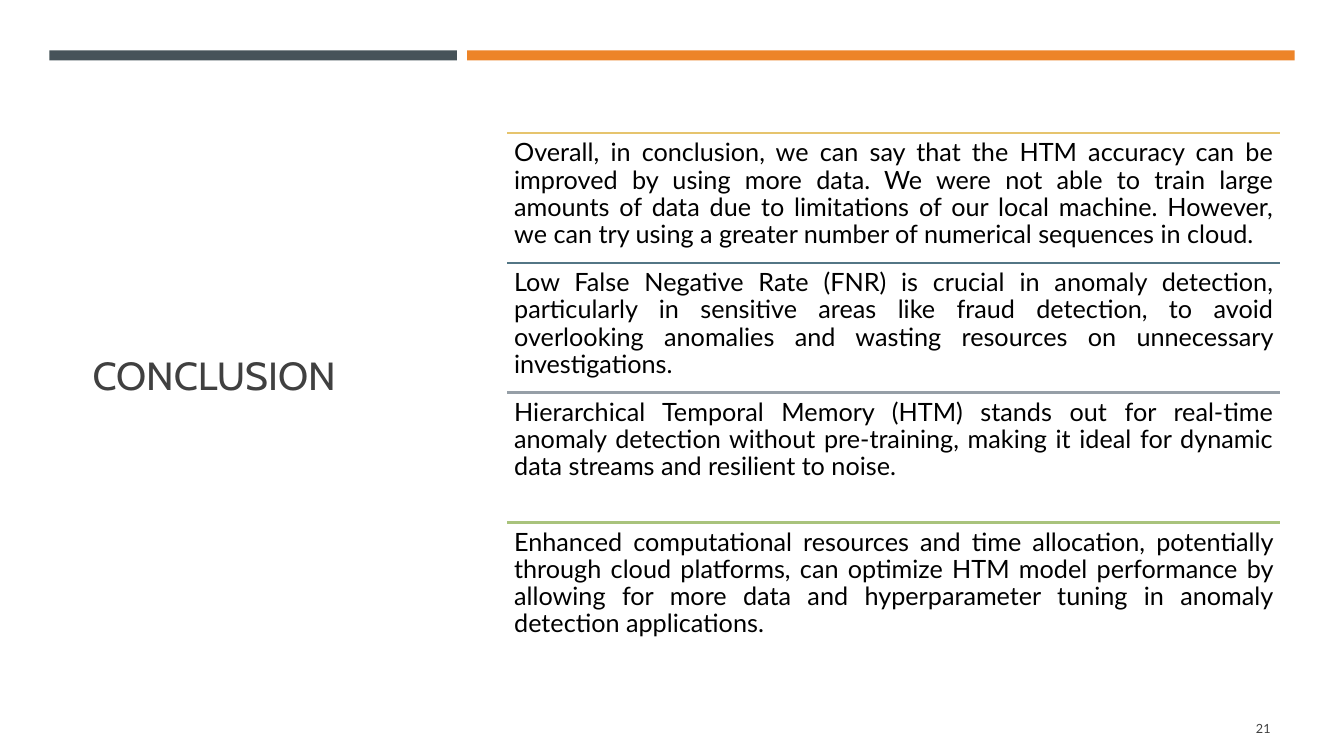
from dataclasses import dataclass

from lxml import etree
from pptx import Presentation
from pptx.dml.color import RGBColor
from pptx.enum.shapes import MSO_CONNECTOR, MSO_SHAPE
from pptx.enum.text import MSO_ANCHOR, PP_ALIGN
from pptx.oxml.ns import qn
from pptx.util import Inches, Pt

RECT = MSO_SHAPE.RECTANGLE
STRAIGHT = MSO_CONNECTOR.STRAIGHT
TOP, MIDDLE = MSO_ANCHOR.TOP, MSO_ANCHOR.MIDDLE
LEFT, RIGHT, JUSTIFY = PP_ALIGN.LEFT, PP_ALIGN.RIGHT, PP_ALIGN.JUSTIFY
WIDE, HIGH = 13.33, 7.5


@dataclass(frozen=True)
class Theme:
    back: str = "FFFFFF"
    slate: str = "465359"
    orange: str = "ED8428"
    ink: str = "404040"
    body: str = "000000"
    rules: tuple = ("E6C46D", "537685", "969FA7", "A9C37C")
    head_font: str = "Cabin"
    body_font: str = "Lato"
    head_size: float = 28
    body_size: float = 18
    page_size: float = 9
    rule_width: float = 1.75


THEME = Theme()
POINTS = (
    "Overall, in conclusion, we can say that the HTM accuracy can be improved "
    "by using more data. We were not able to train large amounts of data due to "
    "limitations of our local machine. However, we can try using a greater "
    "number of numerical sequences in cloud.",
    "Low False Negative Rate (FNR) is crucial in anomaly detection, particularly "
    "in sensitive areas like fraud detection, to avoid overlooking anomalies and "
    "wasting resources on unnecessary investigations.",
    "Hierarchical Temporal Memory (HTM) stands out for real-time anomaly "
    "detection without pre-training, making it ideal for dynamic data streams "
    "and resilient to noise.",
    "Enhanced computational resources and time allocation, potentially through "
    "cloud platforms, can optimize HTM model performance by allowing for more "
    "data and hyperparameter tuning in anomaly detection applications.",
)


def color(code):
    return RGBColor.from_string(code)


def add_text(slide, box, words, font, size, ink, align=LEFT, anchor=MIDDLE,
             inset=None):
    frame = slide.shapes.add_textbox(*map(Inches, box)).text_frame
    frame.word_wrap = True
    frame.vertical_anchor = anchor
    if inset is not None:
        frame.margin_left = frame.margin_right = Inches(inset)
        frame.margin_top = frame.margin_bottom = Inches(inset)
    para = frame.paragraphs[0]
    para.alignment = align
    run = para.add_run()
    run.text = words
    run.font.name = font
    run.font.size = Pt(size)
    run.font.color.rgb = color(ink)
    return para


def add_bars(slide, box):
    left, top, width, height = box
    gap = 0.1
    first = (width - gap) * 0.33
    second = width - gap - first
    parts = ((left, first, THEME.slate),
             (left + first + gap, second, THEME.orange))
    for x, span, fill in parts:
        bar = slide.shapes.add_shape(RECT, *map(Inches, (x, top, span, height)))
        bar.shadow.inherit = False
        bar.fill.solid()
        bar.fill.fore_color.rgb = color(fill)
        bar.line.fill.background()


def add_rule(slide, left, top, width, ink):
    ends = map(Inches, (left, top, left + width, top))
    rule = slide.shapes.add_connector(STRAIGHT, *ends)
    rule.line.color.rgb = color(ink)
    rule.line.width = Pt(THEME.rule_width)
    etree.SubElement(rule._element.spPr, qn("a:effectLst"))


def add_points(slide, box):
    left, top, width, height = box
    row = height / len(POINTS)
    for i, (words, ink) in enumerate(zip(POINTS, THEME.rules)):
        y = top + i * row
        add_rule(slide, left, y, width, ink)
        para = add_text(slide, (left, y, width, row), words, THEME.body_font,
                        THEME.body_size, THEME.body, JUSTIFY, TOP, 0.07)
        para.line_spacing = 0.9


def main():
    deck = Presentation()
    deck.slide_width, deck.slide_height = Inches(WIDE), Inches(HIGH)
    slide = deck.slides.add_slide(deck.slide_layouts[6])
    slide.background.fill.solid()
    slide.background.fill.fore_color.rgb = color(THEME.back)
    add_text(slide, (0.82, 1.14, 3.34, 5.15), "CONCLUSION", THEME.head_font,
             THEME.head_size, THEME.ink)
    add_bars(slide, (0.49, 0.5, 12.35, 0.1))
    add_text(slide, (11.55, 7.03, 1.15, 0.4), "21", THEME.body_font,
             THEME.page_size, THEME.ink, RIGHT)
    add_points(slide, (5.03, 1.32, 7.67, 5.15))
    deck.save("out.pptx")


if __name__ == "__main__":
    main()
